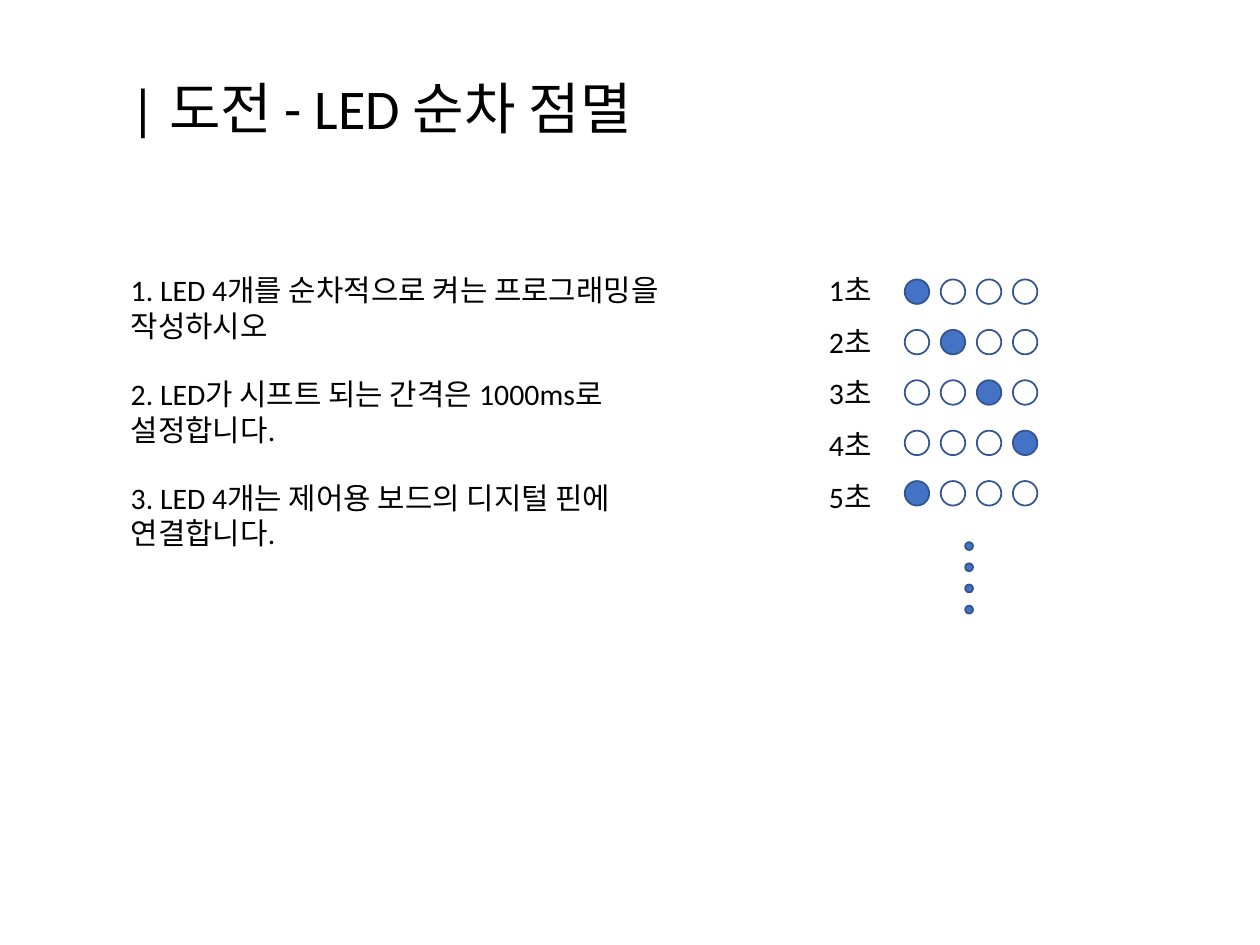
from pptx import Presentation
from pptx.dml.color import RGBColor
from pptx.enum import shapes, text
from pptx.util import Pt
from lxml import etree

BLACK = RGBColor(0x00, 0x00, 0x00)
WHITE = RGBColor(0xFF, 0xFF, 0xFF)
BLUE = RGBColor(0x44, 0x72, 0xC4)
OUTLINE = RGBColor(0x32, 0x54, 0x91)
FONT = "Calibri"

TITLE = "| 도전 - LED 순차 점멸"
TASKS = [
    "1. LED 4개를 순차적으로 켜는 프로그래밍을 작성하시오",
    "2. LED가 시프트 되는 간격은 1000ms로 설정합니다.",
    "3. LED 4개는 제어용 보드의 디지털 핀에 연결합니다.",
]
SECONDS = ["1초", "2초", "3초", "4초", "5초"]
LED_COUNT = 4
DOT_COUNT = 4

LEFT = 67.5
ROW_TOP = 151.9
LABEL_LEFT, LABEL_PITCH = 466.6, 29.5
LED_LEFT, LED_TOP, LED_SIZE = 517, 159.7, 14
LED_STEP, LED_PITCH = 20.6, 28.8
DOT_LEFT, DOT_TOP, DOT_SIZE, DOT_PITCH = 551.5, 309.8, 4.5, 12.1


def write(box, lines, size=17, gap=0, wrap=True):
    frame = box.text_frame
    frame.word_wrap = wrap
    frame.auto_size = text.MSO_AUTO_SIZE.NONE
    frame.vertical_anchor = text.MSO_ANCHOR.TOP
    for index, line in enumerate(lines):
        para = frame.add_paragraph() if index else frame.paragraphs[0]
        para.alignment = text.PP_ALIGN.LEFT
        para.space_before = Pt(0)
        para.space_after = Pt(gap)
        span = para.add_run()
        span.text = line
        span.font.name = FONT
        span.font.size = Pt(size)
        span.font.color.rgb = BLACK


def place(box, left, top, width, height):
    box.left, box.top = Pt(left), Pt(top)
    box.width, box.height = Pt(width), Pt(height)


def remove_bullets(box):
    for para in box.text_frame.paragraphs:
        properties = para._p.get_or_add_pPr()
        properties.set("marL", "0")
        properties.set("indent", "0")
        namespace = properties.nsmap["a"]
        etree.SubElement(properties, f"{{{namespace}}}buNone")


def add_circle(page, left, top, size, fill):
    circle = page.shapes.add_shape(
        shapes.MSO_SHAPE.OVAL, Pt(left), Pt(top), Pt(size), Pt(size))
    circle.shadow.inherit = False
    circle.fill.solid()
    circle.fill.fore_color.rgb = fill
    circle.line.color.rgb = OUTLINE
    circle.line.width = Pt(1)


def main():
    deck = Presentation()
    deck.slide_width, deck.slide_height = Pt(720), Pt(540)
    page = deck.slides.add_slide(deck.slide_layouts[1])

    title = page.shapes.title
    place(title, LEFT, 38.5, 550, 46)
    write(title, [TITLE], size=32)

    tasks = page.placeholders[1]
    place(tasks, LEFT, ROW_TOP, 341.3, 167)
    write(tasks, TASKS, gap=18.4)
    remove_bullets(tasks)

    for row, label in enumerate(SECONDS):
        box = page.shapes.add_textbox(
            Pt(LABEL_LEFT), Pt(ROW_TOP + row * LABEL_PITCH), Pt(44), Pt(28))
        write(box, [label])
        for column in range(LED_COUNT):
            lit = column == row % LED_COUNT
            add_circle(page, LED_LEFT + column * LED_STEP,
                       LED_TOP + row * LED_PITCH, LED_SIZE, BLUE if lit else WHITE)

    for dot in range(DOT_COUNT):
        add_circle(page, DOT_LEFT, DOT_TOP + dot * DOT_PITCH, DOT_SIZE, BLUE)

    deck.save("out.pptx")


if __name__ == "__main__":
    main()
